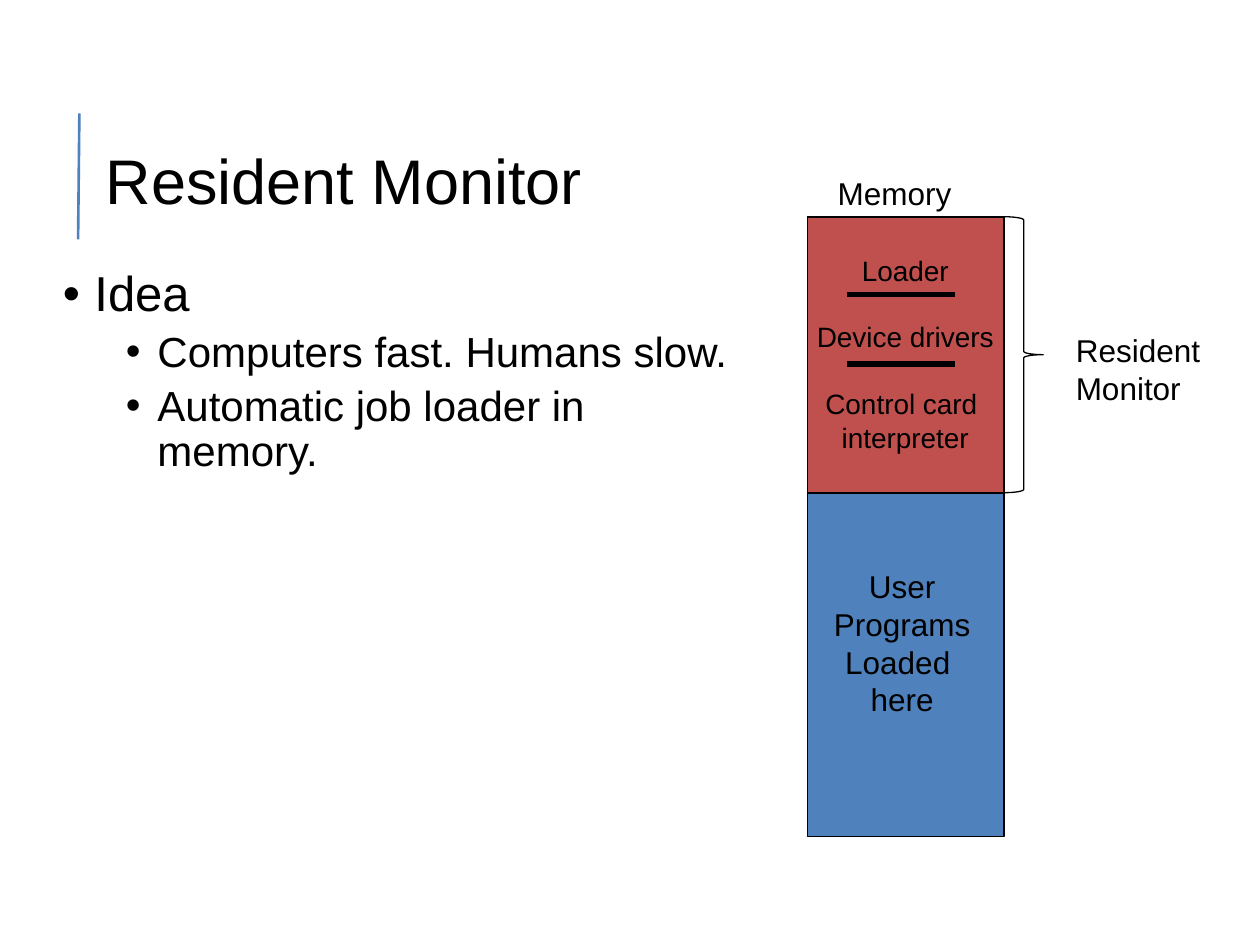
from lxml import etree
from pptx import Presentation
from pptx.dml.color import RGBColor
from pptx.enum.shapes import MSO_CONNECTOR, MSO_SHAPE
from pptx.enum.text import MSO_ANCHOR, PP_ALIGN
from pptx.oxml.ns import qn
from pptx.util import Inches, Pt

BLACK = RGBColor(0x00, 0x00, 0x00)
BLUE = RGBColor(0x4F, 0x81, 0xBD)
RED = RGBColor(0xC0, 0x50, 0x4D)
FONT = "Arial"
RECT, BRACE = MSO_SHAPE.RECTANGLE, MSO_SHAPE.RIGHT_BRACE
STRAIGHT = MSO_CONNECTOR.STRAIGHT
LEFT, CENTER = PP_ALIGN.LEFT, PP_ALIGN.CENTER
TOP, MIDDLE = MSO_ANCHOR.TOP, MSO_ANCHOR.MIDDLE


def style(p, size, align=LEFT):
    """Format a paragraph and its runs."""
    p.alignment = align
    for r in p.runs:
        r.font.name, r.font.size = FONT, Pt(size)
        r.font.color.rgb = BLACK


def set_frame(tf, anchor, wrap):
    """Clear the margins and set the anchor and wrapping of a text frame."""
    tf.margin_left = tf.margin_right = tf.margin_top = tf.margin_bottom = 0
    tf.vertical_anchor, tf.word_wrap = anchor, wrap


def add_label(s, box, text, size, align=LEFT):
    """Add an unwrapped text box and return its text frame."""
    tf = s.shapes.add_textbox(*map(Inches, box)).text_frame
    tf.word_wrap = False
    tf.text = text
    for p in tf.paragraphs:
        style(p, size, align)
    return tf


def add_line(s, x1, y1, x2, y2, color, width):
    """Draw a straight line without a shadow."""
    line = s.shapes.add_connector(STRAIGHT, *map(Inches, (x1, y1, x2, y2)))
    line.line.color.rgb, line.line.width = color, Pt(width)
    etree.SubElement(line._element.spPr, qn("a:effectLst"))


def add_outlined(s, kind, box, width, fill=None):
    """Add a black-outlined shape, filled if a colour is given."""
    sp = s.shapes.add_shape(kind, *map(Inches, box))
    sp.shadow.inherit = False
    sp.line.color.rgb, sp.line.width = BLACK, Pt(width)
    if fill is None:
        sp.fill.background()
    else:
        sp.fill.solid()
        sp.fill.fore_color.rgb = fill


def add_title(s, box, text):
    """Place the title with the accent rule at its left."""
    x, y, w, h = box
    add_line(s, x - 0.22, y + 1.26, x - 0.21, y + 0.26, BLUE, 1.5)
    sp = s.shapes.title
    sp.left, sp.top, sp.width, sp.height = map(Inches, box)
    tf = sp.text_frame
    tf.text = text
    set_frame(tf, MIDDLE, True)
    tf.paragraphs[0].line_spacing = 0.9
    style(tf.paragraphs[0], 36)


def add_bullets(s, box, items):
    """Add a two-level bullet list from (level, text) pairs."""
    tf = s.shapes.add_textbox(*map(Inches, box)).text_frame
    tf.text = "\n".join(text for _, text in items)
    set_frame(tf, TOP, True)
    for p, (level, _) in zip(tf.paragraphs, items):
        p.level, p.line_spacing = level, 0.9
        p.space_before = Pt(5 if level else 10)
        style(p, 24 if level else 28)
        pPr = p._p.get_or_add_pPr()
        pPr.set("marL", str(Inches(0.25 + 0.5 * level)))
        pPr.set("indent", str(Inches(-0.25)))
        etree.SubElement(pPr, qn("a:buFont"), typeface=FONT)
        etree.SubElement(pPr, qn("a:buChar"), char="•")


def add_memory(s, box, monitor_h):
    """Draw the memory column with the resident monitor in its top part."""
    x, y, w, h = box
    add_outlined(s, RECT, box, 1, BLUE)
    add_outlined(s, RECT, (x, y, w, monitor_h), 1, RED)
    add_outlined(s, BRACE, (x + w, y, 0.31, monitor_h), 0.75)
    add_label(s, (x + 0.14, y - 0.39, 1.18, 0.4), "Memory", 18)
    add_label(s, (x + w + 0.47, y + 0.86, 1.33, 0.71), "Resident\nMonitor", 18)
    add_label(s, (x + 0.07, y + 2.73, 1.36, 1.31),
              "User\nPrograms\nLoaded \nhere", 18, CENTER)
    parts = add_label(s, (x - 0.09, y + 0.24, 1.73, 1.72),
                      "Loader\nDevice drivers\nControl card \ninterpreter", 16, CENTER)
    for p in parts.paragraphs[1:3]:
        p.space_before = Pt(19)
    for dy in (0.62, 1.17):
        add_line(s, x + 0.31, y + dy, x + 1.17, y + dy, BLACK, 3)


def main():
    """Build and save the slide."""
    prs = Presentation()
    prs.slide_width, prs.slide_height = Inches(10), Inches(7.5)
    s = prs.slides.add_slide(prs.slide_layouts[5])
    add_title(s, (0.84, 0.64, 7.97, 1.64), "Resident Monitor")
    add_bullets(s, (0.5, 2.14, 5.36, 4.43), [
        (0, "Idea"),
        (1, "Computers fast. Humans slow."),
        (1, "Automatic job loader in memory."),
    ])
    add_memory(s, (6.41, 1.72, 1.56, 4.92), 2.19)
    prs.save("out.pptx")


if __name__ == "__main__":
    main()
